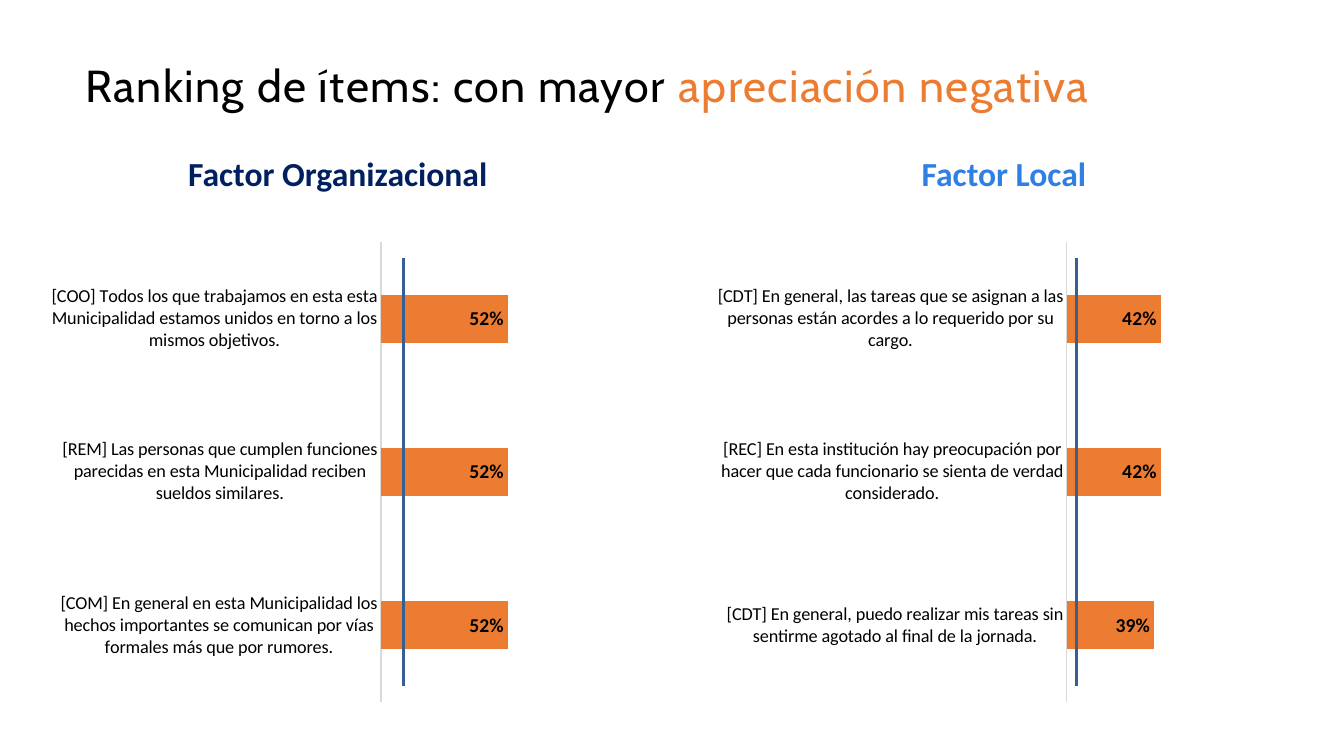
"""Build the slide ranking the items with the most negative appreciation."""
from dataclasses import dataclass

from lxml import etree
from pptx import Presentation
from pptx.chart.data import CategoryChartData
from pptx.dml.color import RGBColor
from pptx.enum.chart import XL_CHART_TYPE as CT, XL_LABEL_POSITION as LP, XL_TICK_MARK as TM
from pptx.enum.shapes import MSO_CONNECTOR
from pptx.enum.text import MSO_ANCHOR, PP_ALIGN
from pptx.oxml import parse_xml
from pptx.oxml.ns import nsdecls, qn
from pptx.slide import Slide
from pptx.text.text import Font, TextFrame
from pptx.util import Pt

BLACK, ORANGE, GREY, BLUE = "000000", "EC7C31", "D9D9D9", "376092"
CHART_TOP, CHART_W, CHART_H = 166.3, 425.5, 342


@dataclass(frozen=True)
class Factor:
    heading: str
    color: str
    heading_x: float
    chart_x: float
    line_x: float
    plot_x: float
    plot_w: float
    items: tuple[tuple[str, float], ...]


FACTORS = (
    Factor("Factor Organizacional", "002060", 59.8, 28.8, 288, 0.572, 0.41, (
        ("[COM] En general en esta Municipalidad los hechos importantes se comunican "
         "por vías formales más que por rumores.", 0.52),
        ("[REM] Las personas que cumplen funciones parecidas en esta Municipalidad "
         "reciben sueldos similares.", 0.52),
        ("[COO] Todos los que trabajamos en esta esta Municipalidad estamos unidos "
         "en torno a los mismos objetivos.", 0.52),
    )),
    Factor("Factor Local", "307FE2", 535.7, 504.7, 769, 0.605, 0.376, (
        ("[CDT] En general, puedo realizar mis tareas sin sentirme agotado al final "
         "de la jornada.", 0.39),
        ("[REC] En esta institución hay preocupación por hacer que cada funcionario "
         "se sienta de verdad considerado.", 0.42),
        ("[CDT] En general, las tareas que se asignan a las personas están acordes "
         "a lo requerido por su cargo.", 0.42),
    )),
)


def rgb(color: str) -> RGBColor:
    return RGBColor.from_string(color)


def set_font(font: Font, size: float, color: str, name: str = "Calibri",
             bold: bool = False) -> None:
    font.name, font.size, font.bold = name, Pt(size), bold
    font.color.rgb = rgb(color)


def add_box(s: Slide, x: float, y: float, w: float, h: float) -> TextFrame:
    tf = s.shapes.add_textbox(Pt(x), Pt(y), Pt(w), Pt(h)).text_frame
    tf.word_wrap = True
    tf.vertical_anchor = MSO_ANCHOR.MIDDLE
    tf.paragraphs[0].line_spacing = 0.9
    return tf


def add_title(s: Slide) -> None:
    tf = add_box(s, 61.2, 24.5, 848.2, 76.3)
    tf.margin_left = tf.margin_top = tf.margin_right = tf.margin_bottom = 0
    p = tf.paragraphs[0]
    for text, color in (("Ranking de ítems: con mayor ", BLACK),
                        ("apreciación negativa", ORANGE)):
        r = p.add_run()
        r.text = text
        set_font(r.font, 32, color, "Cabin")
        r._r.get_or_add_rPr().set("spc", "100")


def add_heading(s: Slide, factor: Factor) -> None:
    p = add_box(s, factor.heading_x, 113.8, 362.9, 23.8).paragraphs[0]
    p.text = factor.heading
    p.alignment = PP_ALIGN.CENTER
    set_font(p.font, 24, factor.color, bold=True)


def add_ranking(s: Slide, factor: Factor) -> None:
    data = CategoryChartData(number_format="0%")
    data.categories = [text for text, _ in factor.items]
    data.add_series("Series 1", [value for _, value in factor.items])
    chart = s.shapes.add_chart(CT.BAR_CLUSTERED, Pt(factor.chart_x), Pt(CHART_TOP),
                               Pt(CHART_W), Pt(CHART_H), data).chart
    chart.has_title = chart.has_legend = False
    set_font(chart.font, 10, "FFFFFF")

    cat, val = chart.category_axis, chart.value_axis
    cat.major_tick_mark = cat.minor_tick_mark = TM.NONE
    cat.format.line.color.rgb = rgb(GREY)
    cat.format.line.width = Pt(0.75)
    set_font(cat.tick_labels.font, 13, BLACK)
    val.minimum_scale, val.maximum_scale = 0, 1
    val.has_major_gridlines = val.visible = False

    plot = chart.plots[0]
    plot.gap_width, plot.vary_by_categories = 219, False
    fill = plot.series[0].format.fill
    fill.solid()
    fill.fore_color.rgb = rgb(ORANGE)
    plot.has_data_labels = True
    labels = plot.data_labels
    labels.show_value, labels.position = True, LP.INSIDE_END
    labels.number_format, labels.number_format_is_linked = "0%", False
    set_font(labels.font, 14, BLACK, bold=True)

    area = chart._chartSpace.find(f".//{qn('c:plotArea')}")
    for layout in area.findall(qn("c:layout")):
        area.remove(layout)
    area.insert(0, parse_xml(
        f'<c:layout {nsdecls("c")}><c:manualLayout><c:layoutTarget val="inner"/>'
        '<c:xMode val="edge"/><c:yMode val="edge"/>'
        f'<c:x val="{factor.plot_x}"/><c:y val="0.02"/>'
        f'<c:w val="{factor.plot_w}"/><c:h val="0.96"/></c:manualLayout></c:layout>'))


def add_reference_line(s: Slide, x: float) -> None:
    line = s.shapes.add_connector(MSO_CONNECTOR.STRAIGHT, Pt(x), Pt(490.3), Pt(x), Pt(184.3))
    line.line.color.rgb = rgb(BLUE)
    line.line.width = Pt(2)
    etree.SubElement(line._element.spPr, qn("a:effectLst"))


def main() -> None:
    prs = Presentation()
    prs.slide_width, prs.slide_height = Pt(960), Pt(540)
    s = prs.slides.add_slide(prs.slide_layouts[6])
    add_title(s)
    for factor in FACTORS:
        add_heading(s, factor)
        add_ranking(s, factor)
        add_reference_line(s, factor.line_x)
    prs.save("out.pptx")


if __name__ == "__main__":
    main()
